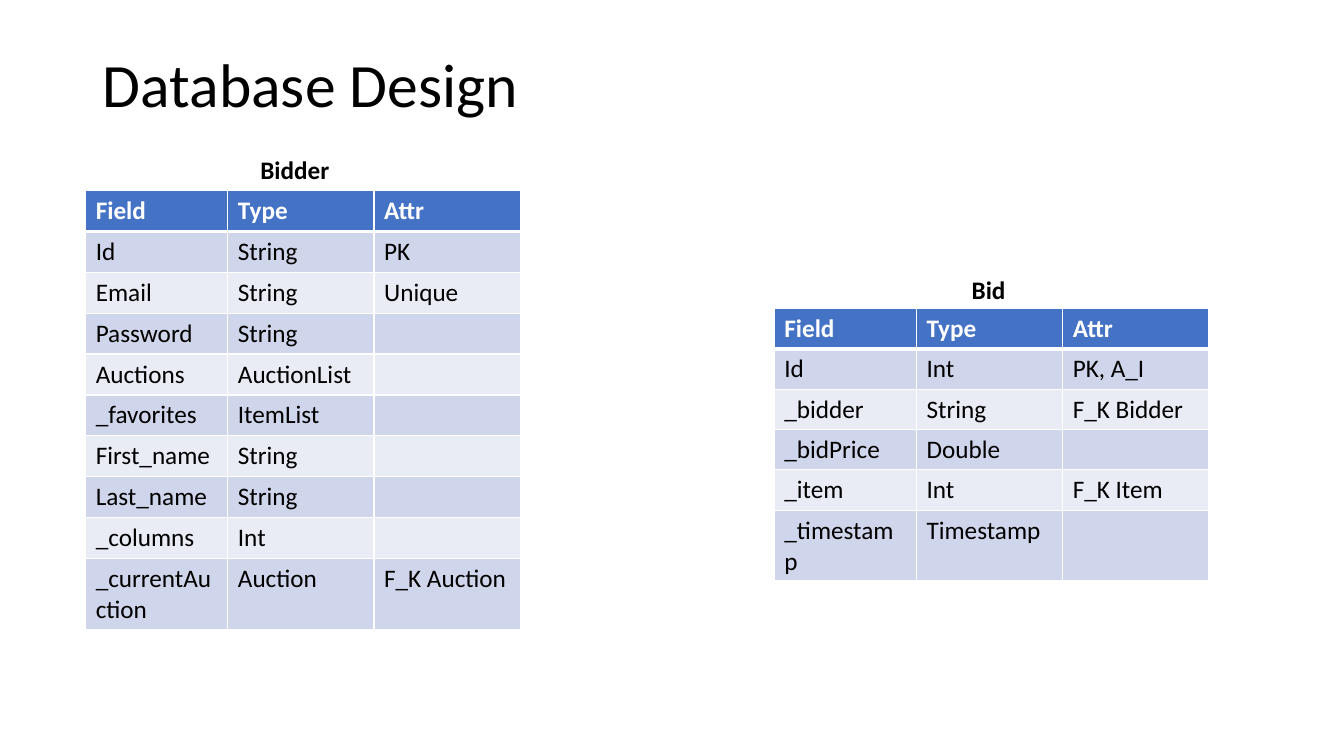
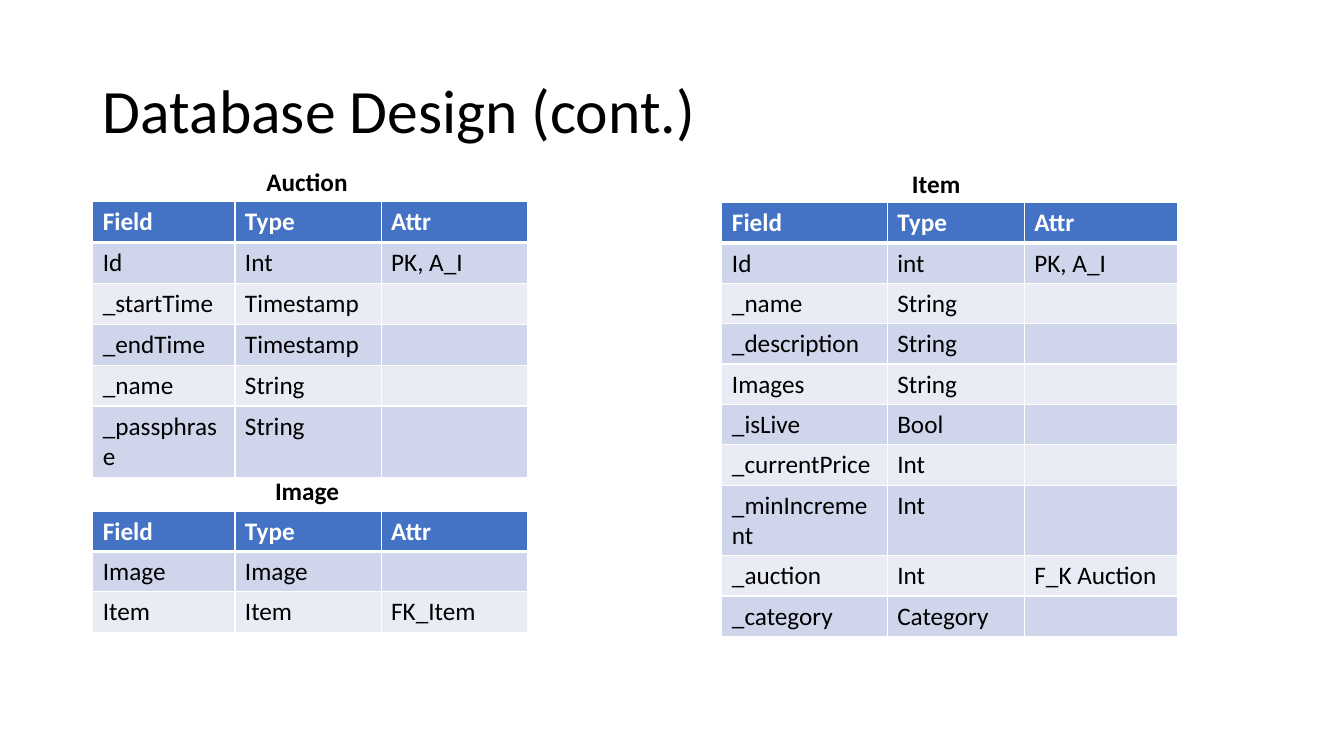
from pptx import Presentation
from pptx.dml.color import RGBColor
from pptx.enum.text import MSO_ANCHOR, MSO_AUTO_SIZE, PP_ALIGN
from pptx.oxml import parse_xml
from pptx.oxml.ns import nsdecls
from pptx.util import Inches, Pt

BLACK = RGBColor(0x00, 0x00, 0x00)
WHITE = RGBColor(0xFF, 0xFF, 0xFF)
HEADER_BLUE = RGBColor(0x44, 0x72, 0xC4)
BAND_DARK = RGBColor(0xCF, 0xD5, 0xEA)
BAND_LIGHT = RGBColor(0xE9, 0xEB, 0xF5)

HEADER = ("Field", "Type", "Attr")
STANDARD_COLUMNS = (1.41, 1.45, 1.45)
ROW_HEIGHT = 0.4
CAPTION_SIZE = (4.25, 0.4)

BIDDER = [
    ("Id", "String", "PK"),
    ("Email", "String", "Unique"),
    ("Password", "String", ""),
    ("Auctions", "AuctionList", ""),
    ("_favorites", "ItemList", ""),
    ("First_name", "String", ""),
    ("Last_name", "String", ""),
    ("_columns", "Int", ""),
    ("_currentAuction", "Auction", "F_K Auction"),
]
BID = [
    ("Id", "Int", "PK, A_I"),
    ("_bidder", "String", "F_K Bidder"),
    ("_bidPrice", "Double", ""),
    ("_item", "Int", "F_K Item"),
    ("_timestamp", "Timestamp", ""),
]
AUCTION = [
    ("Id", "Int", "PK, A_I"),
    ("_startTime", "Timestamp", ""),
    ("_endTime", "Timestamp", ""),
    ("_name", "String", ""),
    ("_passphrase", "String", ""),
]
ITEM = [
    ("Id", "int", "PK, A_I"),
    ("_name", "String", ""),
    ("_description", "String", ""),
    ("Images", "String", ""),
    ("_isLive", "Bool", ""),
    ("_currentPrice", "Int", ""),
    ("_minIncrement", "Int", ""),
    ("_auction", "Int", "F_K Auction"),
    ("_category", "Category", ""),
]
IMAGE = [
    ("Image", "Image", ""),
    ("Item", "Item", "FK_Item"),
]


def set_attributes(target, values):
    for name, value in values.items():
        setattr(target, name, value)


class DeckBuilder:
    def __init__(self):
        self.presentation = Presentation()
        set_attributes(self.presentation, {
            "slide_width": Inches(13.33), "slide_height": Inches(7.5)})
        self.slide = None

    def add_text(self, paragraph, text, size=18, color=BLACK, bold=False):
        run = paragraph.add_run()
        run.text = text
        set_attributes(run.font, {
            "name": "Calibri", "size": Pt(size), "bold": bold})
        run.font.color.rgb = color

    def add_slide(self, title, title_height):
        layout = self.presentation.slide_layouts[5]
        self.slide = self.presentation.slides.add_slide(layout)
        shape = self.slide.shapes.title
        set_attributes(shape, {
            "left": Inches(0.92), "top": Inches(0.4),
            "width": Inches(11.5), "height": Inches(title_height)})
        set_attributes(shape.text_frame, {
            "vertical_anchor": MSO_ANCHOR.MIDDLE, "word_wrap": True,
            "auto_size": MSO_AUTO_SIZE.NONE})
        paragraph = shape.text_frame.paragraphs[0]
        set_attributes(paragraph, {
            "alignment": PP_ALIGN.LEFT, "line_spacing": 0.9})
        self.add_text(paragraph, title, size=44)

    def add_caption(self, text, left, top):
        shape = self.slide.shapes.add_textbox(
            *map(Inches, (left, top, *CAPTION_SIZE)))
        set_attributes(shape.text_frame, {
            "word_wrap": True, "auto_size": MSO_AUTO_SIZE.SHAPE_TO_FIT_TEXT})
        paragraph = shape.text_frame.paragraphs[0]
        paragraph.alignment = PP_ALIGN.CENTER
        self.add_text(paragraph, text, bold=True)

    def add_borders(self, cell, row_index):
        widths = {
            "L": 1, "R": 1,
            "T": 3 if row_index == 1 else 1,
            "B": 3 if row_index == 0 else 1}
        properties = cell._tc.get_or_add_tcPr()
        for side, width in widths.items():
            properties.append(parse_xml(
                f'<a:ln{side} {nsdecls("a")} w="{Pt(width)}"><a:solidFill>'
                f'<a:srgbClr val="{WHITE}"/></a:solidFill></a:ln{side}>'))

    def fill_cell(self, cell, text, row_index):
        is_header = row_index == 0
        self.add_borders(cell, row_index)
        cell.fill.solid()
        band = BAND_DARK if row_index % 2 else BAND_LIGHT
        cell.fill.fore_color.rgb = HEADER_BLUE if is_header else band
        if text:
            self.add_text(cell.text_frame.paragraphs[0], text,
                          color=WHITE if is_header else BLACK, bold=is_header)

    def add_entity(self, name, fields, table_position, caption_position,
                   columns=STANDARD_COLUMNS):
        rows = [HEADER, *fields]
        size = (sum(columns), ROW_HEIGHT * len(rows))
        table = self.slide.shapes.add_table(
            len(rows), len(columns),
            *map(Inches, (*table_position, *size))).table
        for column, width in zip(table.columns, columns):
            column.width = Inches(width)
        for row_index, row in enumerate(rows):
            table.rows[row_index].height = Inches(ROW_HEIGHT)
            for column_index, text in enumerate(row):
                self.fill_cell(table.cell(row_index, column_index),
                               text, row_index)
        self.add_caption(name, *caption_position)


deck = DeckBuilder()

deck.add_slide("Database Design", 0.93)
deck.add_entity("Bidder", BIDDER, (0.85, 1.89), (0.8, 1.48))
deck.add_entity("Bid", BID, (7.68, 3.06), (7.68, 2.67))

deck.add_slide("Database Design (cont.)", 1.45)
deck.add_entity("Auction", AUCTION, (0.92, 2), (0.92, 1.6))
deck.add_entity("Item", ITEM, (7.16, 2.01), (7.16, 1.62), (1.64, 1.36, 1.52))
deck.add_entity("Image", IMAGE, (0.92, 5.07), (0.92, 4.67))

deck.presentation.save("out.pptx")
